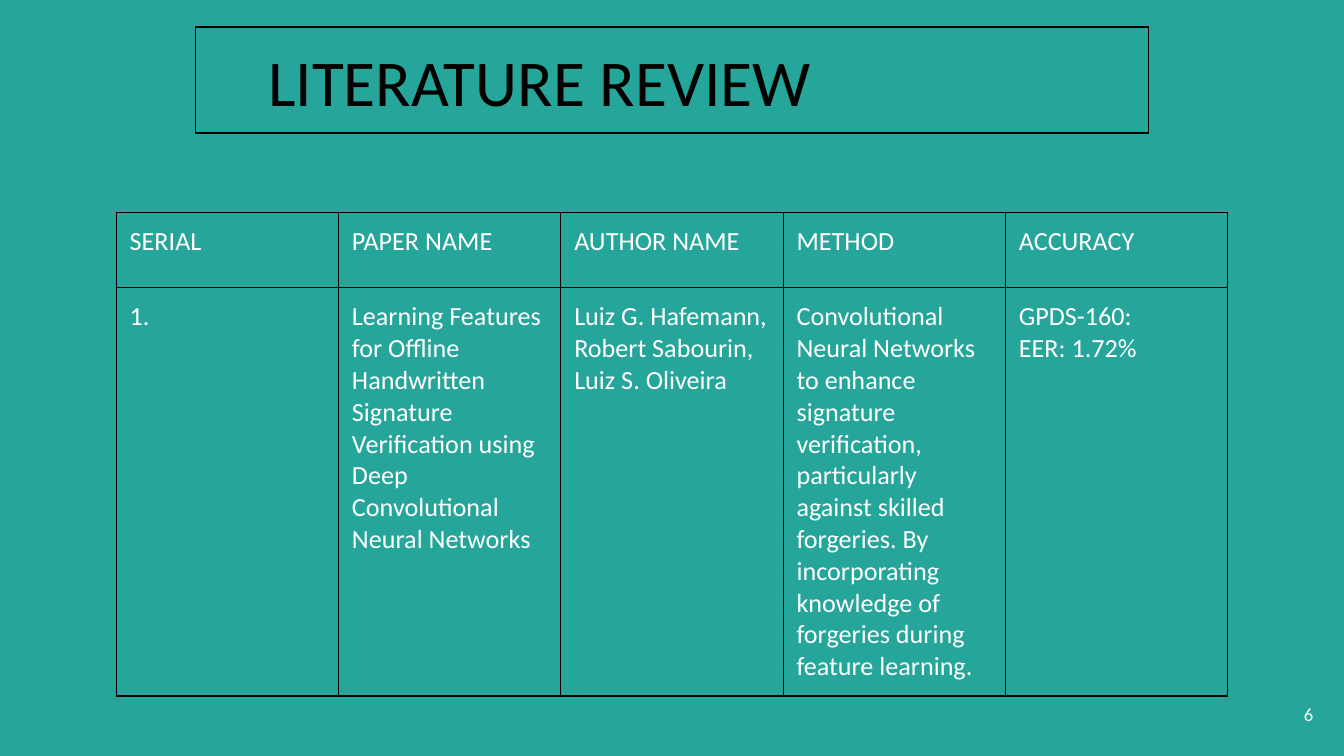
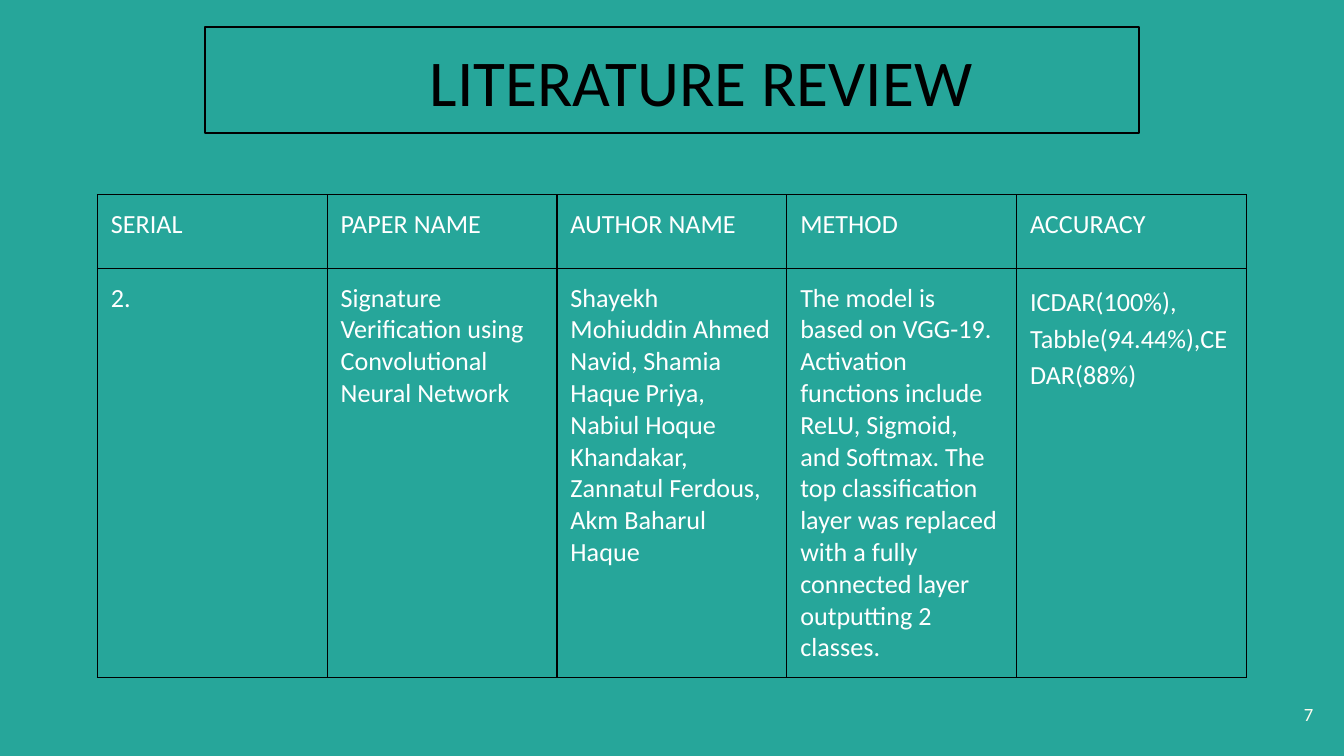
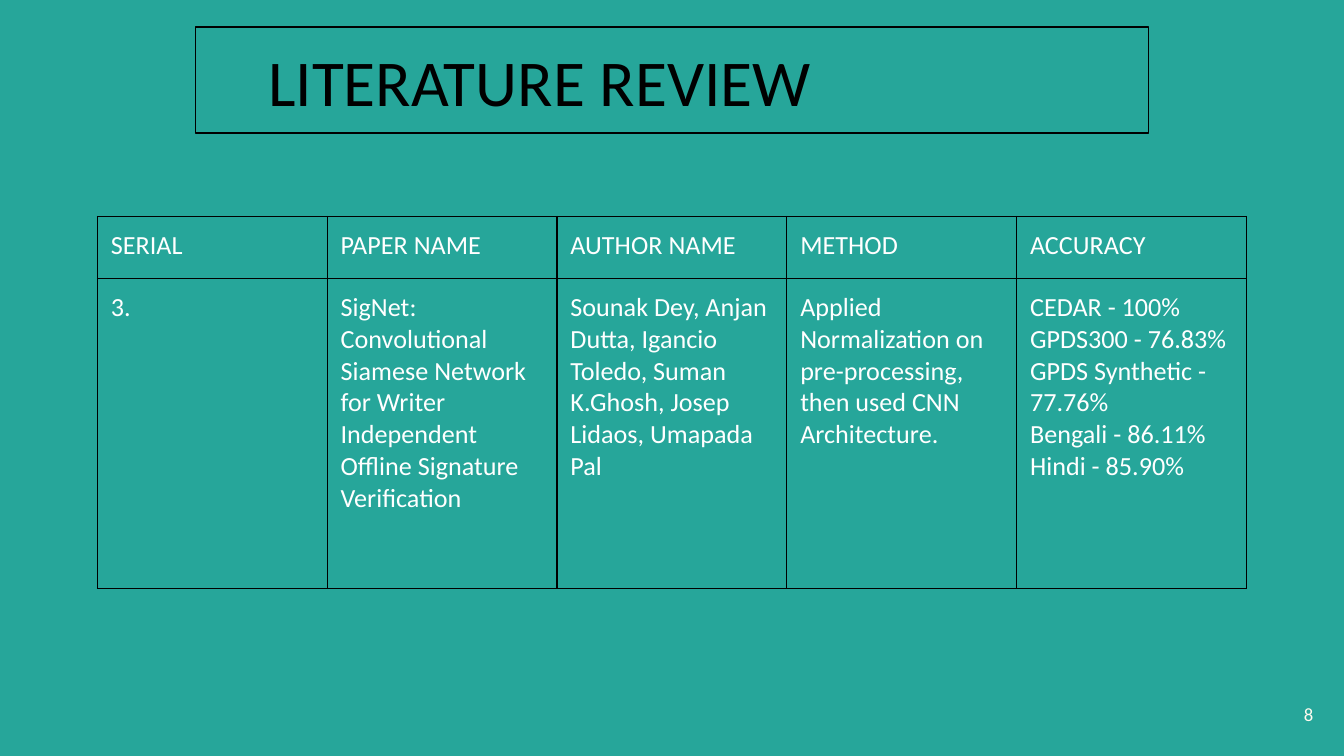
from dataclasses import dataclass
from typing import Optional

from lxml.etree import SubElement
from pptx import Presentation
from pptx.dml.color import RGBColor
from pptx.enum.text import MSO_ANCHOR, MSO_AUTO_SIZE, PP_ALIGN
from pptx.oxml.ns import qn
from pptx.util import Inches, Pt

# Shared style
COLORS = {
    "background": "26A69A",
    "line": "000000",
    "title": "000000",
    "table": "FFFFFF",
    "number": "FFFBF0",
}
FONT = "Calibri"
LINE_WIDTH = Pt(0.75)
SLIDE_WIDTH = 10
SLIDE_HEIGHT = SLIDE_WIDTH * 9 / 16
INSET = Inches(0.1)
TITLE_INDENT = Inches(0.44)
HEADINGS = ["SERIAL", "PAPER NAME", "AUTHOR NAME", "METHOD", "ACCURACY"]


@dataclass
class Review:
    """One reviewed paper; each entry is a list of paragraphs per column."""
    number: str
    title_width: float
    title_align: PP_ALIGN
    table_top: float
    table_width: float
    row_heights: tuple[float, float]
    entries: list[list[str]]
    accuracy_spacing: Optional[float] = None


REVIEWS = [
    Review("6", 7.09, PP_ALIGN.LEFT, 1.58, 8.27, (0.56, 2.35), [
        ["1."],
        ["Learning Features for Offline Handwritten Signature Verification "
         "using Deep Convolutional Neural Networks"],
        ["Luiz G. Hafemann, Robert Sabourin, Luiz S. Oliveira"],
        ["Convolutional Neural Networks to enhance signature verification, "
         "particularly against skilled forgeries. By incorporating knowledge "
         "of forgeries during feature learning."],
        ["GPDS-160:", "EER: 1.72%"],
    ]),
    Review("7", 6.95, PP_ALIGN.CENTER, 1.45, 8.55, (0.55, 2.33), [
        ["2."],
        ["Signature Verification using Convolutional Neural Network"],
        ["Shayekh Mohiuddin Ahmed Navid, Shamia Haque Priya, Nabiul Hoque "
         "Khandakar, Zannatul Ferdous, Akm Baharul Haque"],
        ["The model is based on VGG-19. Activation functions include ReLU, "
         "Sigmoid, and Softmax. The top classification layer was replaced "
         "with a fully connected layer outputting 2 classes."],
        ["ICDAR(100%), Tabble(94.44%),CEDAR(88%)"],
    ], accuracy_spacing=1.15),
    Review("8", 7.09, PP_ALIGN.LEFT, 1.61, 8.55, (0.46, 2.31), [
        ["3."],
        ["SigNet: Convolutional Siamese Network for Writer Independent "
         "Offline Signature Verification"],
        ["Sounak Dey, Anjan Dutta, Igancio Toledo, Suman K.Ghosh, "
         "Josep Lidaos, Umapada Pal"],
        ["Applied Normalization on pre-processing, then used CNN "
         "Architecture."],
        ["CEDAR - 100%", "GPDS300 - 76.83%", "GPDS Synthetic - 77.76%",
         "Bengali - 86.11%", "Hindi - 85.90%"],
    ]),
]


def set_insets(target) -> None:
    """Give a text frame or a table cell the shared insets."""
    target.margin_left = target.margin_right = INSET
    target.margin_top = target.margin_bottom = INSET


def add_span(para, text: str, size: float, color: str) -> None:
    span = para.add_run()
    span.text = text
    span.font.name = FONT
    span.font.size = Pt(size)
    span.font.bold = False
    span.font.color.rgb = RGBColor.from_string(COLORS[color])


def prepare_frame(frame) -> None:
    set_insets(frame)
    frame.word_wrap = True
    frame.auto_size = MSO_AUTO_SIZE.NONE
    frame.vertical_anchor = MSO_ANCHOR.MIDDLE


def add_title(page, review: Review) -> None:
    box = page.shapes.title
    box.left = Inches((SLIDE_WIDTH - review.title_width) / 2)
    box.top, box.width, box.height = Inches(0.2), Inches(review.title_width), Inches(0.79)
    box.line.color.rgb = RGBColor.from_string(COLORS["line"])
    box.line.width = LINE_WIDTH
    prepare_frame(box.text_frame)
    para = box.text_frame.paragraphs[0]
    para.alignment = review.title_align
    properties = para._p.get_or_add_pPr()
    properties.set("marL", str(TITLE_INDENT))
    properties.set("indent", "0")
    add_span(para, "LITERATURE REVIEW", 35, "title")


def add_borders(cell) -> None:
    properties = cell._tc.get_or_add_tcPr()
    for side in ("a:lnL", "a:lnR", "a:lnT", "a:lnB"):
        border = SubElement(properties, qn(side), w=str(LINE_WIDTH))
        fill = SubElement(border, qn("a:solidFill"))
        SubElement(fill, qn("a:srgbClr"), val=COLORS["line"])


def fill_cell(cell, lines: list[str], spacing: Optional[float]) -> None:
    set_insets(cell)
    add_borders(cell)
    cell.fill.background()
    for index, line in enumerate(lines):
        frame = cell.text_frame
        para = frame.add_paragraph() if index else frame.paragraphs[0]
        if spacing:
            para.line_spacing = spacing
        add_span(para, line, 14, "table")


def add_review_table(page, review: Review) -> None:
    width = review.table_width
    table = page.shapes.add_table(
        2, len(HEADINGS), Inches((SLIDE_WIDTH - width) / 2), Inches(review.table_top),
        Inches(width), Inches(sum(review.row_heights))).table
    table.first_row = table.horz_banding = False
    for row, height in zip(table.rows, review.row_heights):
        row.height = Inches(height)
    for index, (heading, entry) in enumerate(zip(HEADINGS, review.entries)):
        table.columns[index].width = Inches(width / len(HEADINGS))
        spacing = review.accuracy_spacing if heading == "ACCURACY" else None
        fill_cell(table.cell(0, index), [heading], None)
        fill_cell(table.cell(1, index), entry, spacing)


def add_page_number(page, number: str) -> None:
    box = page.shapes.add_textbox(Inches(9.27), Inches(5.1), Inches(0.6), Inches(0.43))
    prepare_frame(box.text_frame)
    para = box.text_frame.paragraphs[0]
    para.alignment = PP_ALIGN.RIGHT
    add_span(para, number, 10, "number")


def main() -> None:
    deck = Presentation()
    deck.slide_width, deck.slide_height = Inches(SLIDE_WIDTH), Inches(SLIDE_HEIGHT)
    background = deck.slide_master.background.fill
    background.solid()
    background.fore_color.rgb = RGBColor.from_string(COLORS["background"])

    title_only = deck.slide_layouts[5]
    for review in REVIEWS:
        page = deck.slides.add_slide(title_only)
        add_title(page, review)
        add_review_table(page, review)
        add_page_number(page, review.number)
    deck.save("out.pptx")


if __name__ == "__main__":
    main()
